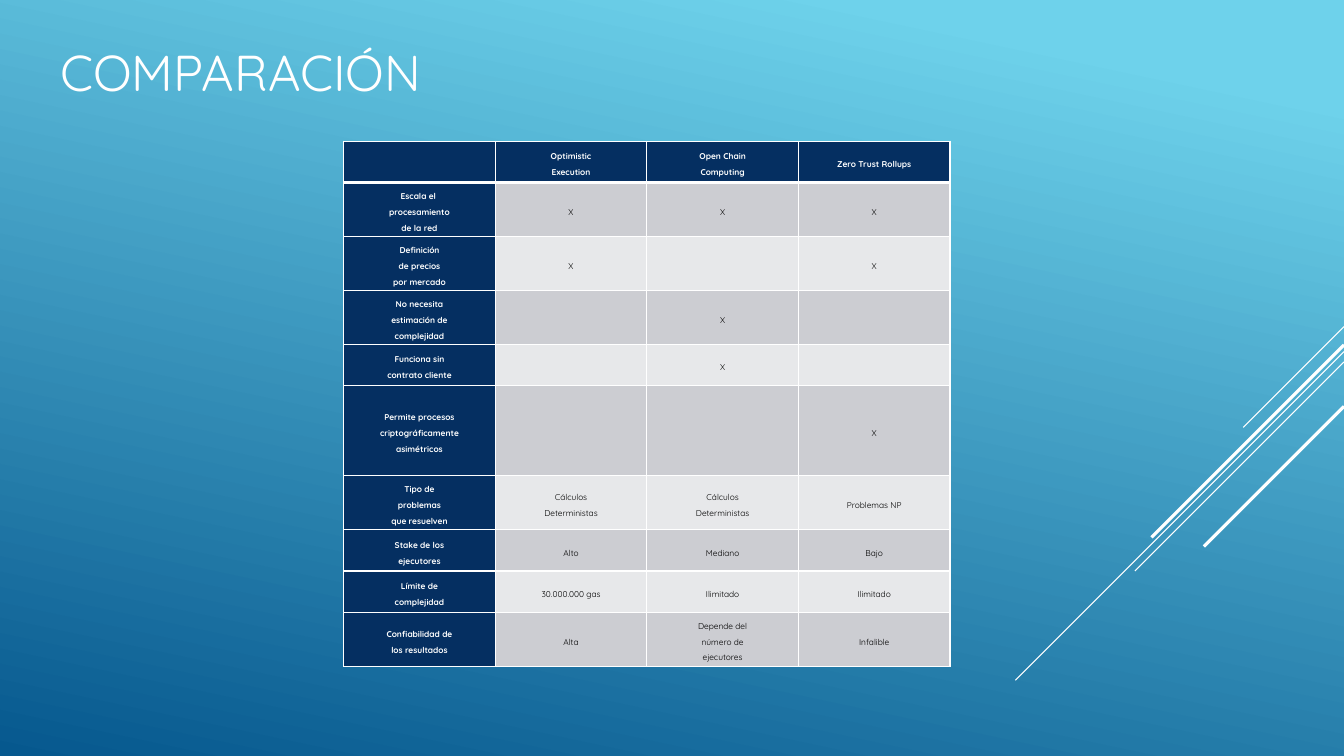
from lxml import etree
from pptx import Presentation
from pptx.dml.color import RGBColor
from pptx.enum.shapes import MSO_CONNECTOR
from pptx.enum.text import MSO_ANCHOR, PP_ALIGN
from pptx.oxml.ns import qn
from pptx.util import Cm, Pt

STRAIGHT = MSO_CONNECTOR.STRAIGHT
MIDDLE = MSO_ANCHOR.MIDDLE
LEFT, CENTER = PP_ALIGN.LEFT, PP_ALIGN.CENTER

WHITE = RGBColor(0xFF, 0xFF, 0xFF)
BLACK = RGBColor(0x00, 0x00, 0x00)
NAVY = RGBColor(0x05, 0x2F, 0x61)
DARK_BAND = RGBColor(0xCC, 0xCD, 0xD2)
LIGHT_BAND = RGBColor(0xE7, 0xE8, 0xEA)
SKY = RGBColor(0x6E, 0xD2, 0xEB)
OCEAN = RGBColor(0x06, 0x58, 0x8E)

SLIDE_WIDTH, SLIDE_HEIGHT = 33.87, 19.05

# Diagonal lines from the right edge: start height, run (cm), width (pt)
DIAGONALS = [
    (8.23, 2.54, 0.75),
    (8.86, 8.28, 0.75),
    (9.12, 5.27, 0.75),
    (8.69, 4.85, 2.25),
    (10.24, 3.53, 2.25),
]

COLUMN_WIDTH = 3.82
TWO_LINES, THREE_LINES, TALL = 1.04, 1.36, 2.27

# Row height (cm) and the texts of the row
COMPARISON = [
    (TWO_LINES, ["", "Optimistic\nExecution", "Open Chain\nComputing", "Zero Trust Rollups"]),
    (THREE_LINES, ["Escala el \nprocesamiento\nde la red", "X", "X", "X"]),
    (THREE_LINES, ["Definición\nde precios\npor mercado", "X", "", "X"]),
    (THREE_LINES, ["No necesita\nestimación de\ncomplejidad", "", "X", ""]),
    (TWO_LINES, ["Funciona sin\ncontrato cliente", "", "X", ""]),
    (TALL, ["Permite procesos\ncriptográficamente\nasimétricos", "", "", "X"]),
    (THREE_LINES, ["Tipo de\nproblemas\nque resuelven", "Cálculos\nDeterministas",
                   "Cálculos\nDeterministas", "Problemas NP"]),
    (TWO_LINES, ["Stake de los\nejecutores", "Alto", "Mediano", "Bajo"]),
    (TWO_LINES, ["Límite de\ncomplejidad", "30.000.000 gas", "Ilimitado", "Ilimitado"]),
    (THREE_LINES, ["Confiabilidad de\nlos resultados", "Alta",
                   "Depende del\nnúmero de\nejecutores", "Infalible"]),
]


class SlideBuilder:
    font_name = "Quicksand"
    title_size = 36
    cell_size = 6

    def __init__(self, slide):
        self.slide = slide

    def background(self, start, end, angle):
        fill = self.slide.background.fill
        fill.gradient()
        fill.gradient_angle = 360 - angle  # measured counter-clockwise
        for stop, (position, color) in zip(fill.gradient_stops, [start, end]):
            stop.position = position
            stop.color.rgb = color

    def add_text(self, paragraph, text, size, color, bold=False):
        for index, line in enumerate(text.split("\n")):
            if index:
                paragraph.add_line_break()
            run = paragraph.add_run()
            run.text = line
            run.font.name = self.font_name
            run.font.size = Pt(size)
            run.font.bold = bold
            run.font.color.rgb = color

    def title(self, text, left, top, width, height):
        shape = self.slide.shapes.title
        shape.left, shape.top = Cm(left), Cm(top)
        shape.width, shape.height = Cm(width), Cm(height)
        shape.text_frame.vertical_anchor = MIDDLE
        paragraph = shape.text_frame.paragraphs[0]
        paragraph.alignment = LEFT
        self.add_text(paragraph, text, self.title_size, WHITE)

    def line(self, start, end, width):
        connector = self.slide.shapes.add_connector(
            STRAIGHT, *map(Cm, start), *map(Cm, end))
        connector.line.color.rgb = WHITE
        connector.line.width = Pt(width)
        etree.SubElement(connector._element.spPr, qn("a:effectLst"))

    def borders(self, cell, top, bottom):
        properties = cell._tc.get_or_add_tcPr()
        widths = {"a:lnL": 1, "a:lnR": 1, "a:lnT": top, "a:lnB": bottom}
        for index, (tag, width) in enumerate(widths.items()):
            border = etree.Element(qn(tag), w=str(Pt(width)))
            fill = etree.SubElement(border, qn("a:solidFill"))
            etree.SubElement(fill, qn("a:srgbClr"), val=str(WHITE))
            properties.insert(index, border)

    def cell(self, cell, text, row, column):
        heading = row == 0 or column == 0
        band = DARK_BAND if row % 2 else LIGHT_BAND
        cell.fill.solid()
        cell.fill.fore_color.rgb = NAVY if heading else band
        cell.vertical_anchor = MIDDLE
        cell.margin_left = cell.margin_right = Cm(0.1)
        cell.margin_top = cell.margin_bottom = 0
        self.borders(cell, top=3 if row == 1 else 1, bottom=3 if row == 0 else 1)
        if text:
            paragraph = cell.text_frame.paragraphs[0]
            paragraph.alignment = CENTER
            paragraph.line_spacing = 1.5
            self.add_text(paragraph, text, self.cell_size, WHITE if heading else BLACK, heading)

    def table(self, rows, left, top, column_width):
        column_count = len(rows[0][1])
        height = sum(row_height for row_height, _ in rows)
        table = self.slide.shapes.add_table(
            len(rows), column_count, Cm(left), Cm(top),
            Cm(column_width * column_count), Cm(height)).table
        table.horz_banding = False
        for column in table.columns:
            column.width = Cm(column_width)
        for row, (row_height, texts) in enumerate(rows):
            table.rows[row].height = Cm(row_height)
            for column, text in enumerate(texts):
                self.cell(table.cell(row, column), text, row, column)


def main():
    presentation = Presentation()
    presentation.slide_width = Cm(SLIDE_WIDTH)
    presentation.slide_height = Cm(SLIDE_HEIGHT)
    title_only = presentation.slide_layouts[5]
    builder = SlideBuilder(presentation.slides.add_slide(title_only))

    # Background and diagonal decoration
    builder.background((0.1, SKY), (1, OCEAN), angle=102)
    for height, run, width in DIAGONALS:
        builder.line((SLIDE_WIDTH, height), (SLIDE_WIDTH - run, height + run), width)

    # Title
    builder.title("COMPARACIÓN", 1.27, -0.3, 23.7, 4.19)

    # Comparison table
    builder.table(COMPARISON, 8.66, 3.56, COLUMN_WIDTH)

    presentation.save("out.pptx")


if __name__ == "__main__":
    main()
